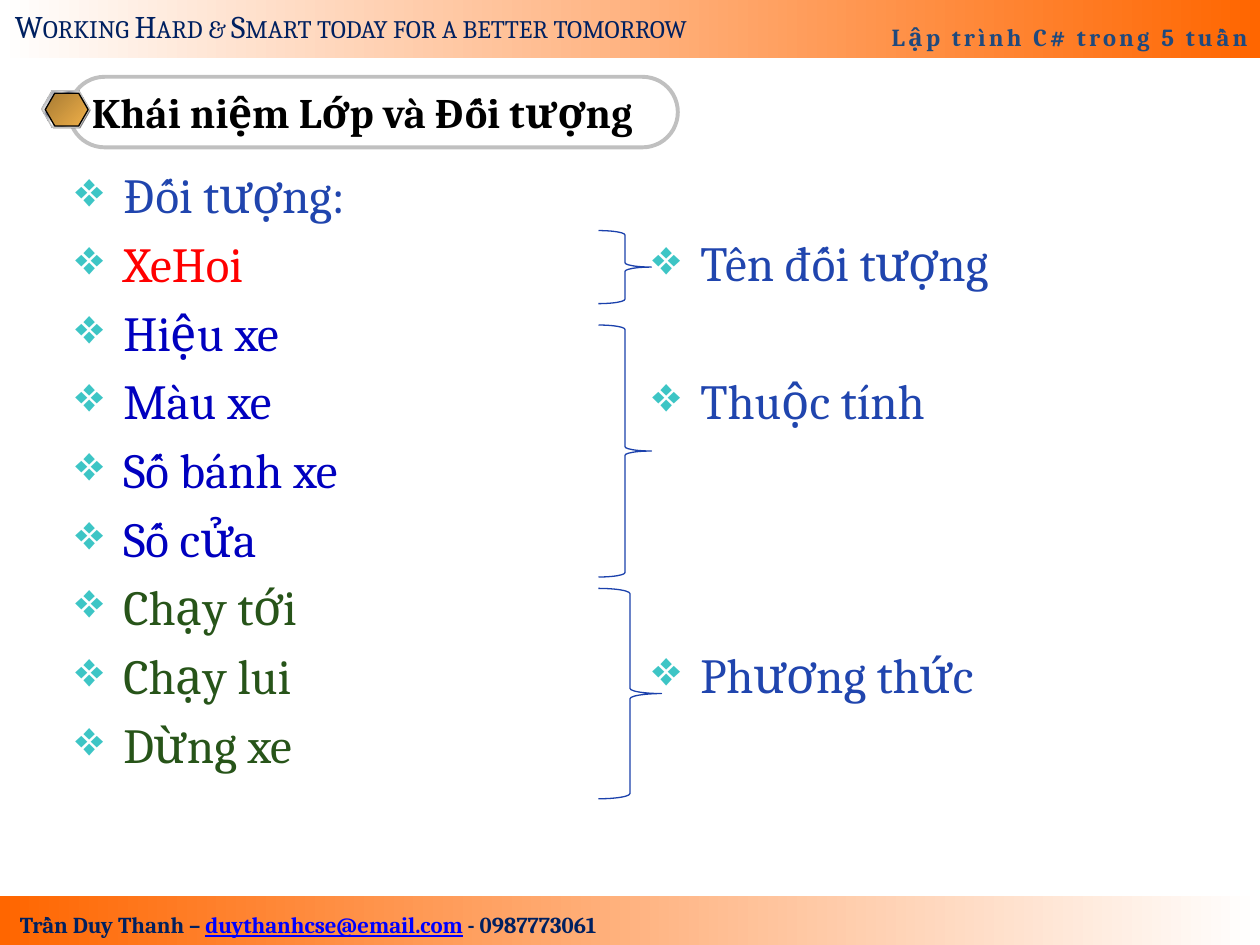
from dataclasses import dataclass
from typing import Optional

from lxml import etree
from pptx import Presentation
from pptx import util as u
from pptx.dml.color import RGBColor
from pptx.enum import shapes, text
from pptx.oxml import ns

EMU_PER_PX = 9144
FONT = "Cambria"
ROW_PITCH = 39.2
ROW_GAP = 5.6
COLORS = {
    "white": "FFFFFF", "orange": "FF6600", "slate": "1F497D", "navy": "002060",
    "link": "0000FF", "black": "000000", "silver": "C0C0C0", "gray": "808080",
    "pale": "E6E6E6", "steel": "7D8496", "bronze": "A87B33", "gold": "EFB049",
    "bullet": "3DC5C5", "blue": "2045AE", "red": "FF0000", "attribute": "0000BF",
    "method": "275419", "brace": "1B41AC",
}


@dataclass(frozen=True)
class Box:
    left: int
    top: int
    width: int
    height: int

    def emu(self) -> tuple:
        return tuple(u.Emu(n * EMU_PER_PX)
                     for n in (self.left, self.top, self.width, self.height))


@dataclass(frozen=True)
class Gradient:
    stops: tuple
    angle: int = 0


@dataclass(frozen=True)
class Figure:
    preset: shapes.MSO_SHAPE
    box: Box
    fill: Optional[object] = None
    line: Optional[str] = None
    weight: float = 0.75
    adjust: Optional[float] = None


@dataclass(frozen=True)
class Run:
    text: str
    color: str
    underline: bool = False


@dataclass(frozen=True)
class Label:
    runs: tuple
    size: int
    bold: bool = False
    align: text.PP_ALIGN = text.PP_ALIGN.LEFT
    anchor: text.MSO_ANCHOR = text.MSO_ANCHOR.TOP
    run_attributes: tuple = ()


@dataclass(frozen=True)
class Item:
    text: str
    color: str
    skipped_rows: int = 0


def rgb(name: str) -> RGBColor:
    return RGBColor.from_string(COLORS[name])


def apply_gradient(shape, gradient: Gradient) -> None:
    shape.fill.gradient()
    shape.fill.gradient_angle = -gradient.angle % 360
    stop_list = shape._element.spPr.find(".//" + ns.qn("a:gsLst"))
    for stop in list(stop_list):
        stop_list.remove(stop)
    for percent, color in gradient.stops:
        stop = etree.SubElement(stop_list, ns.qn("a:gs"), pos=str(percent * 1000))
        etree.SubElement(stop, ns.qn("a:srgbClr"), val=COLORS[color])


def draw_figure(slide, figure: Figure):
    shape = slide.shapes.add_shape(figure.preset, *figure.box.emu())
    shape.shadow.inherit = False
    if figure.adjust is not None:
        shape.adjustments[0] = figure.adjust
    if isinstance(figure.fill, Gradient):
        apply_gradient(shape, figure.fill)
    elif figure.fill:
        shape.fill.solid()
        shape.fill.fore_color.rgb = rgb(figure.fill)
    else:
        shape.fill.background()
    if figure.line:
        shape.line.color.rgb = rgb(figure.line)
        shape.line.width = u.Pt(figure.weight)
    else:
        shape.line.fill.background()
    return shape


def add_text_box(slide, box: Box):
    shape = slide.shapes.add_textbox(*box.emu())
    shape.text_frame.word_wrap = True
    return shape


def write_label(shape, label: Label) -> None:
    frame = shape.text_frame
    frame.vertical_anchor = label.anchor
    paragraph = frame.paragraphs[0]
    paragraph.alignment = label.align
    paragraph.font.name = FONT
    paragraph.font.size = u.Pt(label.size)
    paragraph.font.bold = label.bold
    for part in label.runs:
        run = paragraph.add_run()
        run.text = part.text
        run.font.color.rgb = rgb(part.color)
        if part.underline:
            run.font.underline = True
        for name, value in label.run_attributes:
            run.font._element.set(name, value)


def write_bullets(shape, items: tuple) -> None:
    frame = shape.text_frame
    for index, item in enumerate(items):
        paragraph = frame.add_paragraph() if index else frame.paragraphs[0]
        paragraph.text = item.text
        paragraph.font.name = FONT
        paragraph.font.size = u.Pt(28)
        paragraph.font.color.rgb = rgb(item.color)
        if index:
            paragraph.space_before = u.Pt(ROW_GAP + item.skipped_rows * ROW_PITCH)
        properties = paragraph._p.get_or_add_pPr()
        indent = 38 * EMU_PER_PX
        properties.set("marL", str(indent))
        properties.set("indent", str(-indent))
        bullet_color = etree.Element(ns.qn("a:buClr"))
        etree.SubElement(bullet_color, ns.qn("a:srgbClr"), val=COLORS["bullet"])
        bullet = etree.Element(ns.qn("a:buChar"), char="❖")
        position = len(properties.findall(ns.qn("a:spcBef")))
        properties.insert(position, bullet_color)
        properties.insert(position + 1, bullet)


def main() -> None:
    """Build the slide on classes and objects."""
    presentation = Presentation()
    presentation.slide_width = u.Emu(1000 * EMU_PER_PX)
    presentation.slide_height = u.Emu(750 * EMU_PER_PX)
    slide = presentation.slides.add_slide(presentation.slide_layouts[6])
    preset = shapes.MSO_SHAPE

    draw_figure(slide, Figure(preset.RECTANGLE, Box(0, 711, 1000, 39),
                              Gradient(((0, "orange"), (100, "white")))))
    header = draw_figure(slide, Figure(preset.RECTANGLE, Box(0, 0, 1000, 46),
                                       Gradient(((0, "white"), (100, "orange")))))
    write_label(header, Label((Run("Lập trình C# trong 5 tuần", "slate"),), 14, True,
                              text.PP_ALIGN.RIGHT, text.MSO_ANCHOR.BOTTOM,
                              (("spc", "180"),)))
    contact = (Run("Trần Duy Thanh – ", "navy"),
               Run("duythanhcse@email.com", "link", True),
               Run(" - 0987773061", "navy"))
    write_label(add_text_box(slide, Box(-8, 718, 505, 32)),
                Label(contact, 13, True, text.PP_ALIGN.CENTER))
    motto = Run("Working Hard & Smart today for a better tomorrow", "navy")
    write_label(add_text_box(slide, Box(2, 1, 590, 40)),
                Label((motto,), 18, run_attributes=(("cap", "small"),)))

    title = draw_figure(slide, Figure(preset.ROUNDED_RECTANGLE, Box(55, 61, 483, 56),
                                      line="silver", weight=2.25, adjust=0.5))
    write_label(title, Label((Run("Khái niệm Lớp và Đối tượng", "black"),), 24, True,
                             anchor=text.MSO_ANCHOR.MIDDLE))

    chrome = Gradient(((0, "pale"), (7, "steel"), (26, "pale"), (34, "steel"),
                       (46, "pale"), (50, "white"), (54, "pale"), (66, "steel"),
                       (74, "pale"), (93, "steel"), (100, "pale")), 45)
    amber = Gradient(((0, "bronze"), (100, "gold")), 45)
    for box, fill, line in ((Box(34, 73, 38, 29), "gray", None),
                            (Box(33, 72, 38, 29), chrome, "silver"),
                            (Box(36, 74, 34, 26), amber, "black")):
        draw_figure(slide, Figure(preset.HEXAGON, box, fill, line, adjust=0.289))

    members = (Item("Đối tượng:", "blue"), Item("XeHoi", "red"),
               *(Item(name, "attribute")
                 for name in ("Hiệu xe", "Màu xe", "Số bánh xe", "Số cửa")),
               *(Item(name, "method") for name in ("Chạy tới", "Chạy lui", "Dừng xe")))
    write_bullets(add_text_box(slide, Box(50, 126, 442, 599)), members)
    roles = (Item("Tên đối tượng", "blue"), Item("Thuộc tính", "blue", 1),
             Item("Phương thức", "blue", 3))
    write_bullets(add_text_box(slide, Box(508, 180, 442, 520)), roles)

    for box in (Box(475, 183, 42, 58), Box(475, 258, 42, 200), Box(475, 467, 50, 167)):
        draw_figure(slide, Figure(preset.RIGHT_BRACE, box, line="brace", adjust=0.083))

    presentation.save("out.pptx")


if __name__ == "__main__":
    main()
